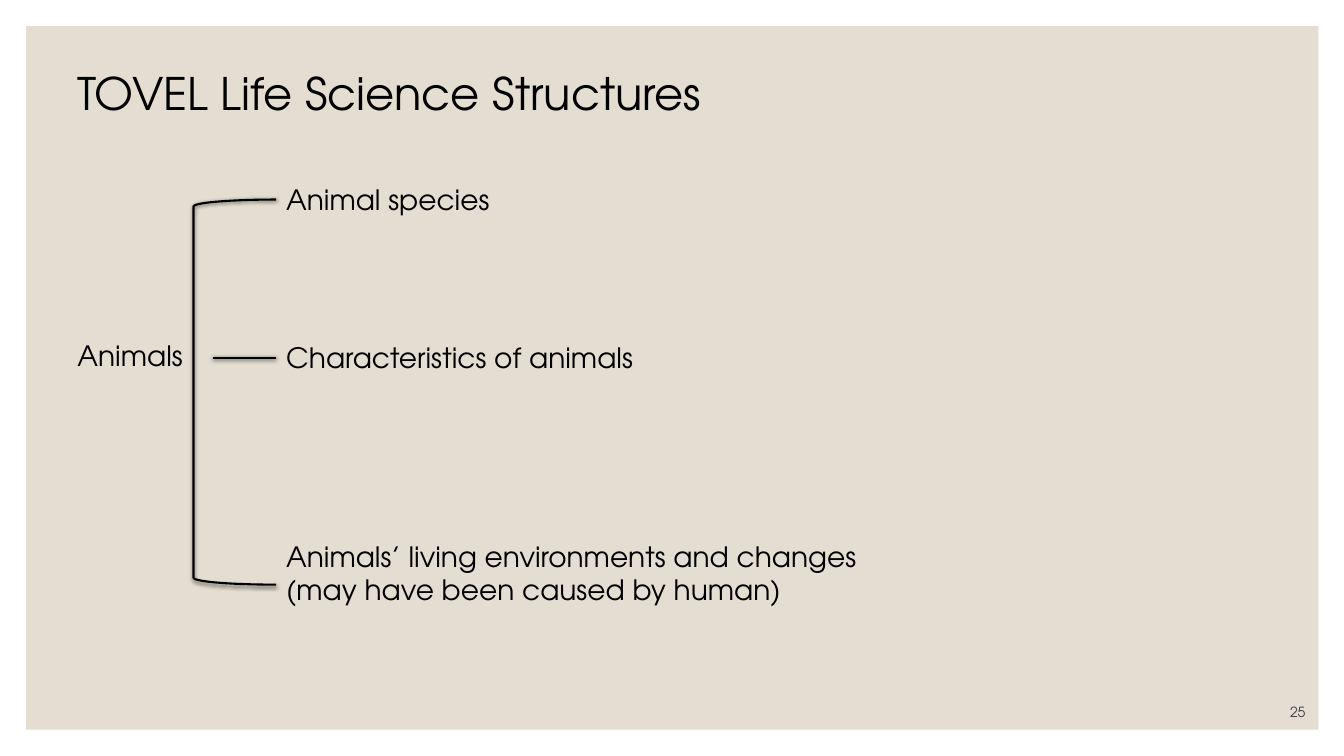
"""Build the life science structures slide."""
import pptx
import pptx.dml.color
import pptx.enum.shapes
import pptx.enum.text
import pptx.oxml
import pptx.oxml.ns
import pptx.util

Pt = pptx.util.Pt
ALIGN = pptx.enum.text.PP_ALIGN
ANCHOR = pptx.enum.text.MSO_ANCHOR
SHAPE = pptx.enum.shapes.MSO_SHAPE
FONT = "TeX Gyre Adventor"
INK = "000000"
BRANCHES = [
    (126.72, 161.28, 31.68, ["Animal species"]),
    (239.76, 264.96, 31.68, ["Characteristics of animals"]),
    (381.6, 743.76, 55.44, ["Animals’ living environments and changes",
                            "(may have been caused by human)"]),
]


def color(code):
    """Return the colour for a hex string."""
    return pptx.dml.color.RGBColor.from_string(code)


def place(item, left, top, width, height):
    """Set the position and size of a shape."""
    item.left, item.top = Pt(left), Pt(top)
    item.width, item.height = Pt(width), Pt(height)


def write(box, lines, size=20, ink=INK, align=ALIGN.LEFT, anchor=ANCHOR.TOP, wrap=True):
    """Write lines as paragraphs in a box with one format."""
    frame = box.text_frame
    frame.word_wrap = wrap
    frame.auto_size = pptx.enum.text.MSO_AUTO_SIZE.NONE
    frame.vertical_anchor = anchor
    frame.text = "\n".join(lines)
    for para in frame.paragraphs:
        para.alignment = align
        for span in para.runs:
            span.font.name = FONT
            span.font.size = Pt(size)
            span.font.color.rgb = color(ink)


def add_text(page, area, lines, **look):
    """Add a text box and return it."""
    box = page.shapes.add_textbox(*map(Pt, area))
    write(box, lines, **look)
    return box


def draw_stroke(item):
    """Give a line or outline its black stroke and soft drop shadow."""
    item.line.color.rgb = color(INK)
    item.line.width = Pt(1.5)
    effects = pptx.oxml.parse_xml(
        f'<a:effectLst {pptx.oxml.ns.nsdecls("a")}>'
        f'<a:outerShdw blurRad="{Pt(3)}" dist="{Pt(1)}" dir="5400000" rotWithShape="0">'
        f'<a:srgbClr val="{INK}"><a:alpha val="63000"/></a:srgbClr>'
        '</a:outerShdw></a:effectLst>')
    item.element.spPr.append(effects)


def add_panel(page):
    """Add the beige panel behind the title."""
    panel = page.shapes.add_shape(SHAPE.RECTANGLE, Pt(18.72), Pt(18.72), Pt(923.04), Pt(502.56))
    panel.shadow.inherit = False
    panel.fill.solid()
    panel.fill.fore_color.rgb = color("E3DED1")
    panel.line.fill.background()
    page.shapes.title.element.addprevious(panel.element)


def add_bracket(page):
    """Add the bracket that spans the branches."""
    bracket = page.shapes.add_shape(SHAPE.LEFT_BRACKET, Pt(138.24), Pt(142.56), Pt(59.04), Pt(275.04))
    bracket.fill.background()
    draw_stroke(bracket)


def add_tick(page, target):
    """Add the short line that ends at the left side of the target."""
    middle = target.top + target.height // 2
    tick = page.shapes.add_connector(
        pptx.enum.shapes.MSO_CONNECTOR.STRAIGHT, Pt(151.92), middle, target.left, middle)
    tick.end_connect(target, 1)
    draw_stroke(tick)


def main():
    """Build and save the deck."""
    deck = pptx.Presentation()
    deck.slide_width, deck.slide_height = Pt(960), Pt(540)
    page = deck.slides.add_slide(deck.slide_layouts[5])
    add_panel(page)
    title = page.shapes.title
    place(title, 48.24, 43.2, 516.24, 46.08)
    write(title, ["TOVEL Life Science Structures"], size=32)
    add_text(page, (824.4, 496.8, 115.2, 21.6), ["25"], size=10, ink="404040",
             align=ALIGN.RIGHT, anchor=ANCHOR.BOTTOM)
    add_text(page, (48.24, 238.32, 90.72, 31.68), ["Animals"], wrap=False)
    branches = [add_text(page, (197.28, top, width, height), lines, wrap=len(lines) > 1)
                for top, width, height, lines in BRANCHES]
    add_bracket(page)
    add_tick(page, branches[1])
    deck.save("out.pptx")


if __name__ == "__main__":
    main()
